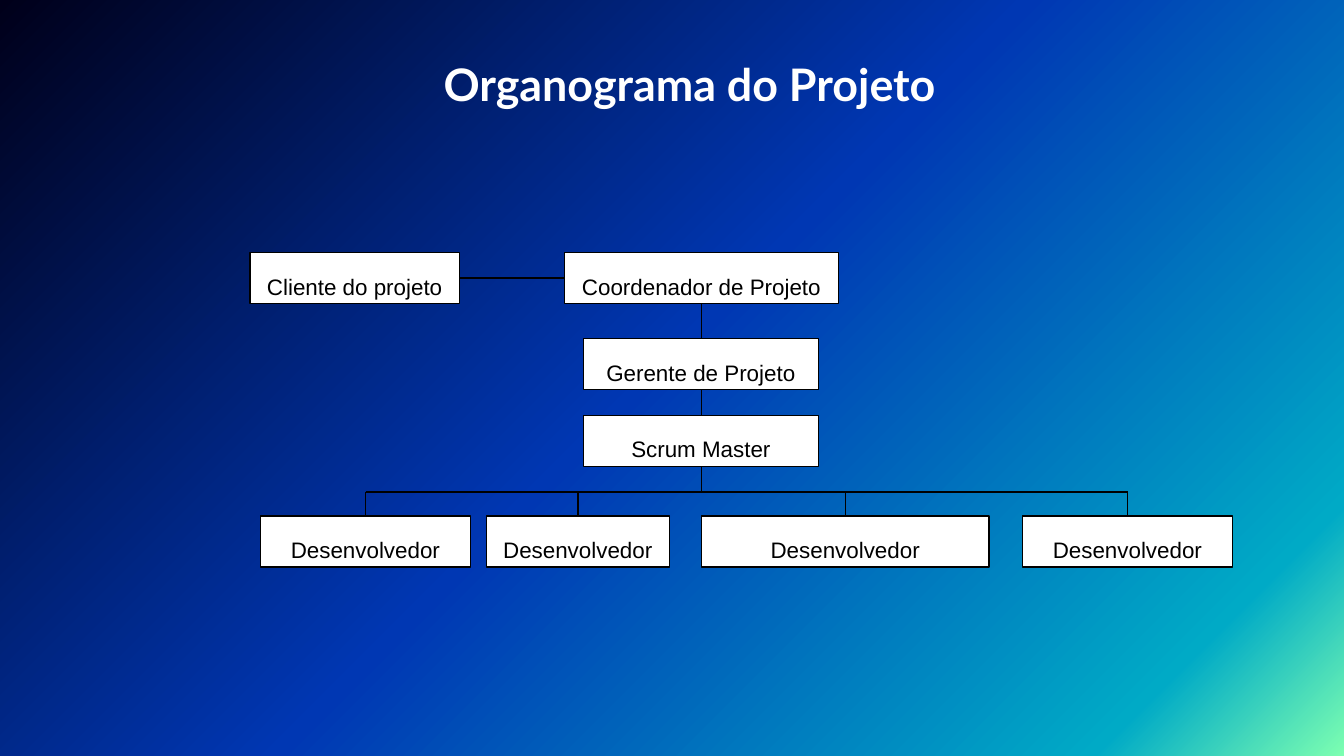
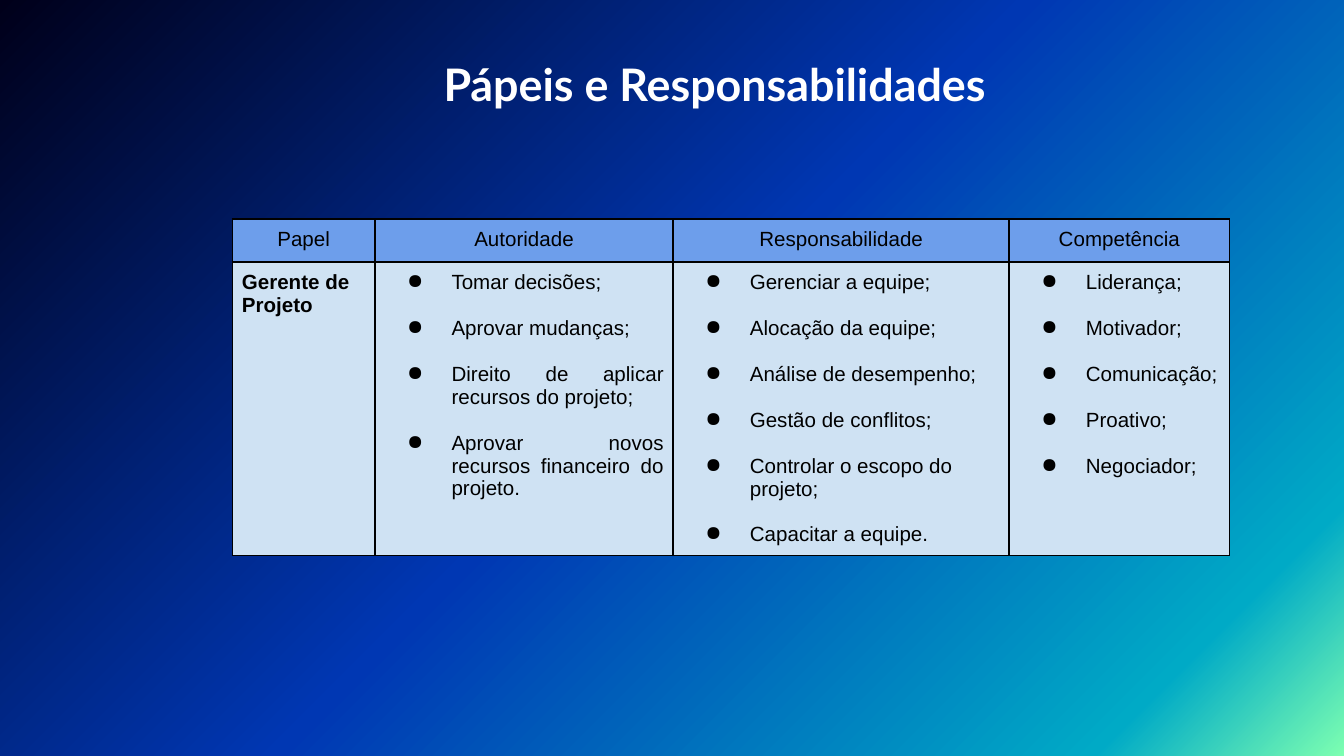
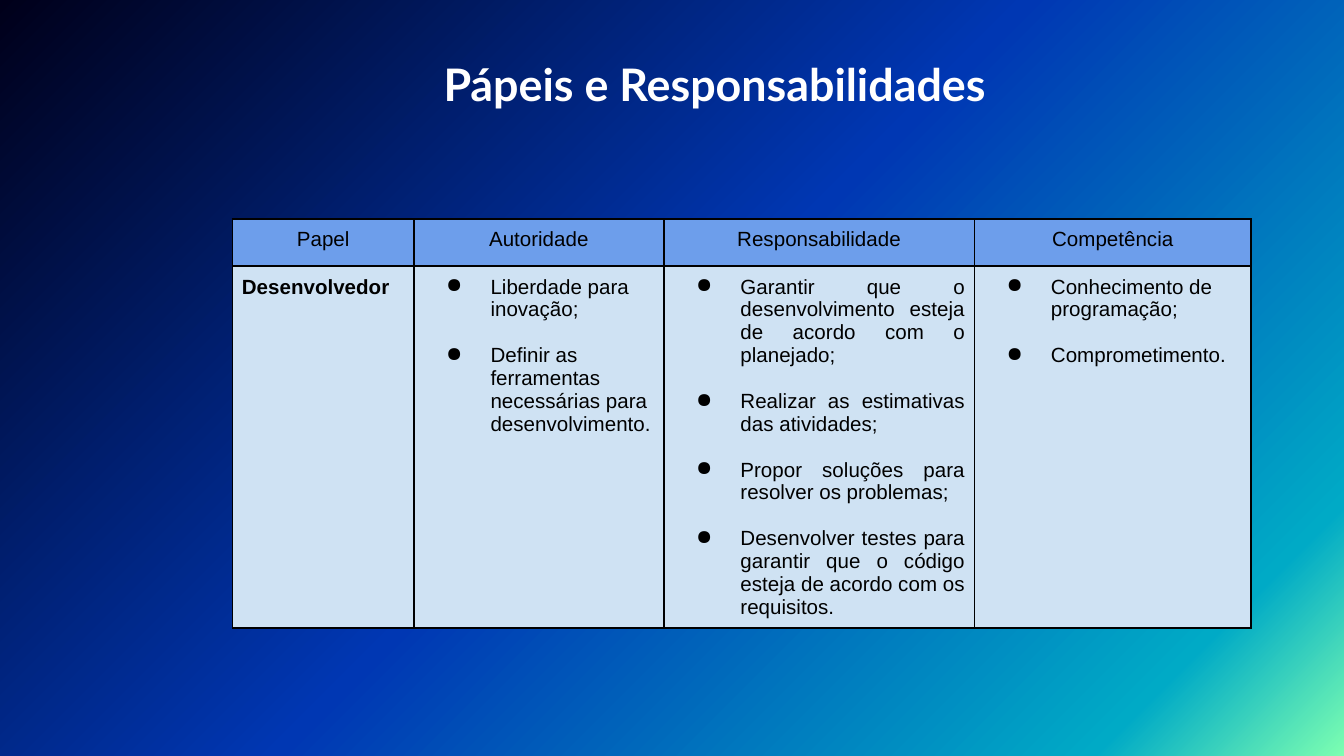
"""Build the project organisation chart and the role tables."""
from dataclasses import dataclass

from lxml import etree
from pptx import Presentation
from pptx.dml.color import RGBColor
from pptx.enum.shapes import MSO_CONNECTOR, MSO_SHAPE
from pptx.enum.text import MSO_ANCHOR, MSO_AUTO_SIZE, PP_ALIGN
from pptx.oxml.ns import qn
from pptx.util import Pt

PX = 9144
SLIDE_WIDTH = 1000
TITLE_ONLY_LAYOUT = 5

RECTANGLE = MSO_SHAPE.RECTANGLE
STRAIGHT = MSO_CONNECTOR.STRAIGHT
TOP = MSO_ANCHOR.TOP
NO_AUTOFIT = MSO_AUTO_SIZE.NONE
LEFT, CENTER, JUSTIFY = PP_ALIGN.LEFT, PP_ALIGN.CENTER, PP_ALIGN.JUSTIFY

BLACK = RGBColor(0x00, 0x00, 0x00)
WHITE = RGBColor(0xFF, 0xFF, 0xFF)
HEADING_BLUE = RGBColor(0x6D, 0x9E, 0xEB)
CELL_BLUE = RGBColor(0xCF, 0xE2, 0xF3)
MINT = RGBColor(0x7D, 0xFF, 0xB1)
CYAN = RGBColor(0x00, 0xAA, 0xC6)
ROYAL_BLUE = RGBColor(0x00, 0x37, 0xB3)
NIGHT_BLUE = RGBColor(0x00, 0x00, 0x1A)
BACKGROUND_STOPS = ((0, MINT), (12, CYAN), (51, ROYAL_BLUE), (100, NIGHT_BLUE))

TITLE_FONT, BODY_FONT = "Lato", "Arial"
BOX_HEIGHT = 38
BAR_TOP = 366
TABLE_LEFT, TABLE_TOP = 173, 163
CELL_INSET = 7
TEXT_INDENT, BULLET_HANG = 50, 33
ITEM_GAP = Pt(12.3)


@dataclass(frozen=True)
class Box:
    """A position in the organisation chart."""
    label: str
    left: int
    top: int
    width: int

    @property
    def center(self) -> int:
        """Give the horizontal centre."""
        return self.left + (self.width + 1) // 2

    @property
    def right(self) -> int:
        """Give the right edge."""
        return self.left + self.width

    @property
    def middle(self) -> int:
        """Give the vertical centre."""
        return self.top + BOX_HEIGHT // 2

    @property
    def bottom(self) -> int:
        """Give the bottom edge."""
        return self.top + BOX_HEIGHT


@dataclass(frozen=True)
class Column:
    """A list column of a role table."""
    heading: str
    width: int
    items: tuple[str, ...]
    alignment: PP_ALIGN = LEFT


@dataclass(frozen=True)
class Role:
    """A role with its table measures and columns."""
    name: str
    name_width: int
    row_heights: tuple[int, int]
    columns: tuple[Column, ...]


CLIENT = Box("Cliente do projeto", 186, 188, 156)
COORDINATOR = Box("Coordenador de Projeto", 420, 188, 204)
MANAGER = Box("Gerente de Projeto", 434, 252, 175)
SCRUM_MASTER = Box("Scrum Master", 434, 309, 175)
DEVELOPERS = tuple(
    Box("Desenvolvedor", left, 384, width)
    for left, width in ((194, 156), (362, 136), (522, 214), (761, 156))
)

ROLES = (
    Role("Gerente de Projeto", 106, (32, 216), (
        Column("Autoridade", 222, (
            "Tomar decisões;",
            "Aprovar mudanças;",
            "Direito de aplicar recursos do projeto;",
            "Aprovar novos recursos financeiro do projeto.",
        ), JUSTIFY),
        Column("Responsabilidade", 250, (
            "Gerenciar a equipe;",
            "Alocação da equipe;",
            "Análise de desempenho;",
            "Gestão de conflitos;",
            "Controlar o escopo do projeto;",
            "Capacitar a equipe.",
        )),
        Column("Competência", 164, (
            "Liderança;",
            "Motivador;",
            "Comunicação;",
            "Proativo;",
            "Negociador;",
        )),
    )),
    Role("Desenvolvedor", 135, (35, 238), (
        Column("Autoridade", 186, (
            "Liberdade para inovação;",
            "Definir as ferramentas necessárias para desenvolvimento.",
        )),
        Column("Responsabilidade", 231, (
            "Garantir que o desenvolvimento esteja de acordo com o planejado;",
            "Realizar as estimativas das atividades;",
            "Propor soluções para resolver os problemas;",
            "Desenvolver testes para garantir que o código esteja de acordo "
            "com os requisitos.",
        ), JUSTIFY),
        Column("Competência", 206, (
            "Conhecimento de programação;",
            "Comprometimento.",
        )),
    )),
)


def px(length: int) -> int:
    """Turn px into EMU."""
    return length * PX


def add_color(parent, color: RGBColor) -> None:
    """Add a colour element to a parent element."""
    etree.SubElement(parent, qn("a:srgbClr"), val=str(color))


def set_insets(target, horizontal: int, vertical: int) -> None:
    """Set the margins of a text frame or cell."""
    target.margin_left = target.margin_right = px(horizontal)
    target.margin_top = target.margin_bottom = px(vertical)


def write(paragraph, text: str, size: int, alignment: PP_ALIGN = LEFT,
          font: str = BODY_FONT, color: RGBColor = BLACK, bold: bool = False) -> None:
    """Add one formatted run to a paragraph."""
    paragraph.alignment = alignment
    run = paragraph.add_run()
    run.text = text
    run.font.name = font
    run.font.size = Pt(size)
    run.font.bold = bold
    run.font.color.rgb = color


def indent(paragraph, first_line: int = 0):
    """Indent a paragraph and return its properties element."""
    properties = paragraph._p.get_or_add_pPr()
    properties.set("marL", str(px(TEXT_INDENT)))
    properties.set("indent", str(px(first_line)))
    return properties


def set_background(master) -> None:
    """Give the slide master its diagonal gradient."""
    fill = master.background.fill
    fill.gradient()
    fill.gradient_angle = 135
    stops = master.element.find(".//" + qn("a:gsLst"))
    for stop in list(stops):
        stops.remove(stop)
    for percent, color in BACKGROUND_STOPS:
        add_color(etree.SubElement(stops, qn("a:gs"), pos=str(percent * 1000)), color)


def add_titled_slide(presentation, text: str, width: int):
    """Add a slide with its title."""
    slide = presentation.slides.add_slide(presentation.slide_layouts[TITLE_ONLY_LAYOUT])
    title = slide.shapes.title
    title.left, title.top = px(270), px(26)
    title.width, title.height = px(width), px(43)
    frame = title.text_frame
    frame.word_wrap = True
    frame.auto_size = NO_AUTOFIT
    frame.vertical_anchor = TOP
    set_insets(frame, 10, 10)
    paragraph = frame.paragraphs[0]
    paragraph.line_spacing = 1.15
    indent(paragraph)
    write(paragraph, text, 24, JUSTIFY, TITLE_FONT, WHITE, True)
    return slide


def add_box(shapes, box: Box) -> None:
    """Draw a position box."""
    shape = shapes.add_shape(
        RECTANGLE, px(box.left), px(box.top), px(box.width), px(BOX_HEIGHT))
    shape.shadow.inherit = False
    shape.fill.solid()
    shape.fill.fore_color.rgb = WHITE
    shape.line.color.rgb = BLACK
    shape.line.width = Pt(0.75)
    frame = shape.text_frame
    frame.word_wrap = True
    frame.vertical_anchor = TOP
    set_insets(frame, 10, 5)
    paragraph = frame.paragraphs[0]
    paragraph.line_spacing = 1.5
    write(paragraph, box.label, 12, CENTER)


def add_line(shapes, start: tuple[int, int], end: tuple[int, int]) -> None:
    """Draw a straight line between two points."""
    connector = shapes.add_connector(STRAIGHT, *map(px, start + end))
    connector.line.color.rgb = BLACK
    connector.line.width = Pt(0.75)
    etree.SubElement(connector.element.spPr, qn("a:effectLst"))


def add_drop(shapes, x: int, top: int, bottom: int) -> None:
    """Draw a vertical line."""
    add_line(shapes, (x, top), (x, bottom))


def add_organisation_chart(slide) -> None:
    """Draw all positions and the lines between them."""
    shapes = slide.shapes
    add_drop(shapes, COORDINATOR.center, COORDINATOR.bottom, MANAGER.top)
    add_drop(shapes, MANAGER.center, MANAGER.bottom, SCRUM_MASTER.top)
    add_box(shapes, MANAGER)
    team = shapes.add_group_shape().shapes
    add_line(team, (DEVELOPERS[0].center, BAR_TOP), (DEVELOPERS[-1].center, BAR_TOP))
    add_drop(team, SCRUM_MASTER.center, SCRUM_MASTER.bottom, BAR_TOP)
    add_box(team, SCRUM_MASTER)
    for developer in DEVELOPERS:
        add_drop(team, developer.center, BAR_TOP, developer.top)
        add_box(team, developer)
    add_box(shapes, COORDINATOR)
    add_box(shapes, CLIENT)
    add_line(shapes, (CLIENT.right, CLIENT.middle), (COORDINATOR.left, COORDINATOR.middle))


def style_cell(cell, color: RGBColor) -> None:
    """Set the borders, fill and margins of a cell."""
    properties = cell._tc.get_or_add_tcPr()
    for side in ("a:lnL", "a:lnR", "a:lnT", "a:lnB"):
        border = etree.SubElement(properties, qn(side), w=str(Pt(1)))
        add_color(etree.SubElement(border, qn("a:solidFill")), BLACK)
    cell.fill.solid()
    cell.fill.fore_color.rgb = color
    cell.vertical_anchor = TOP
    set_insets(cell, CELL_INSET, CELL_INSET)


def write_items(frame, column: Column) -> None:
    """Write the bulleted items of a column."""
    for index, item in enumerate(column.items):
        paragraph = frame.add_paragraph() if index else frame.paragraphs[0]
        paragraph.space_before = ITEM_GAP if index else 0
        properties = indent(paragraph, -BULLET_HANG)
        add_color(etree.SubElement(properties, qn("a:buClr")), BLACK)
        etree.SubElement(properties, qn("a:buChar"), char="●")
        write(paragraph, item, 11, column.alignment)


def add_role_table(slide, role: Role) -> None:
    """Draw the table of one role."""
    headings = ["Papel", *(column.heading for column in role.columns)]
    widths = [role.name_width, *(column.width for column in role.columns)]
    table = slide.shapes.add_table(
        2, len(widths), px(TABLE_LEFT), px(TABLE_TOP),
        px(sum(widths)), px(sum(role.row_heights))).table
    table.first_row = False
    table.horz_banding = False
    for row, height in zip(table.rows, role.row_heights):
        row.height = px(height)
    for index, (heading, width) in enumerate(zip(headings, widths)):
        table.columns[index].width = px(width)
        heading_cell = table.cell(0, index)
        style_cell(heading_cell, HEADING_BLUE)
        write(heading_cell.text_frame.paragraphs[0], heading, 11, CENTER)
        style_cell(table.cell(1, index), CELL_BLUE)
    write(table.cell(1, 0).text_frame.paragraphs[0], role.name, 11, bold=True)
    for index, column in enumerate(role.columns, start=1):
        write_items(table.cell(1, index).text_frame, column)


def main() -> None:
    """Build and save the presentation."""
    presentation = Presentation()
    presentation.slide_width = px(SLIDE_WIDTH)
    presentation.slide_height = px(SLIDE_WIDTH) * 9 // 16
    set_background(presentation.slide_master)
    add_organisation_chart(add_titled_slide(presentation, "Organograma do Projeto", 460))
    for role in ROLES:
        add_role_table(add_titled_slide(presentation, "Pápeis e Responsabilidades", 481), role)
    presentation.save("out.pptx")


if __name__ == "__main__":
    main()
